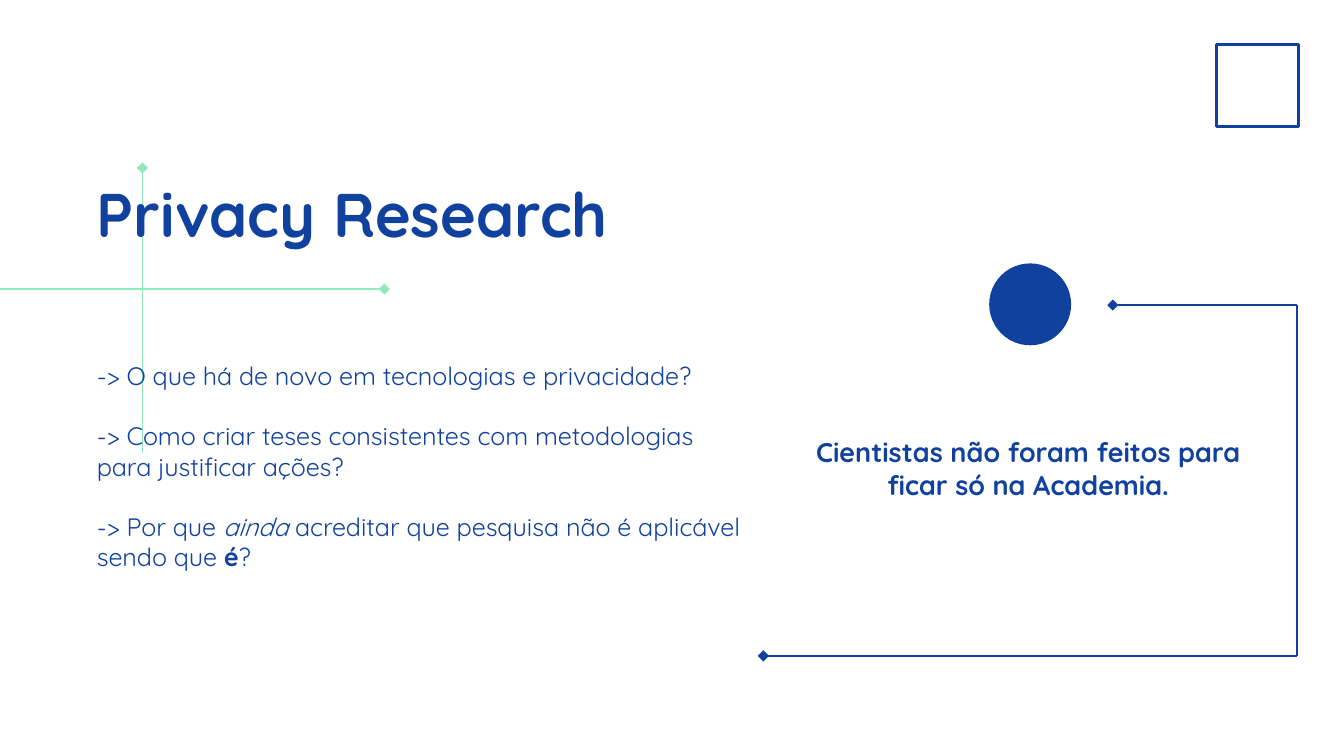
import pptx
import pptx.util
import pptx.dml.color
import pptx.enum.shapes
import pptx.enum.text
import pptx.oxml
import pptx.oxml.ns

RGB = pptx.dml.color.RGBColor
BLUE = RGB(0x11, 0x41, 0x9F)
MINT = RGB(0x8F, 0xEA, 0xBB)
FONT = "Quicksand"
WIDE = 10
HIGH = WIDE * 9 / 16
COLS, ROWS = WIDE * 10, HIGH * 10  # grid cells of a tenth of an inch


def write(para, text, size, bold=False, italic=False, color=BLUE):
    """Add one formatted run to a paragraph."""
    run = para.add_run()
    run.text = text
    font = run.font
    font.name, font.size = FONT, pptx.util.Pt(size)
    font.bold, font.italic = bold, italic
    font.color.rgb = color


def add_tag(parent, tag, **attrs):
    node = pptx.oxml.parse_xml(f"<a:{tag} {pptx.oxml.ns.nsdecls('a')}/>")
    for name, value in attrs.items():
        node.set(name, value)
    parent.append(node)


class Deck:
    """Holds the style and the current slide; lengths are grid cells."""

    def __init__(self):
        self.file = pptx.Presentation()
        self.file.slide_width = pptx.util.Inches(WIDE)
        self.file.slide_height = pptx.util.Inches(HIGH)
        self.slide = self.file.slides.add_slide(self.file.slide_layouts[1])
        self.shapes = self.slide.shapes

    def grid(self, *cells):
        """Turn column, row, column, row ... into lengths."""
        units = (self.file.slide_width / COLS, self.file.slide_height / ROWS)
        return [round(cell * units[i % 2]) for i, cell in enumerate(cells)]

    def line(self, *ends, color=BLUE, tip=True):
        """Draw a line, with a diamond at its end if tip is set."""
        link = self.shapes.add_connector(
            pptx.enum.shapes.MSO_CONNECTOR.STRAIGHT, *self.grid(*ends))
        link.line.color.rgb = color
        link.line.width = pptx.util.Pt(0.75)
        if tip:
            add_tag(link.element.spPr.find(pptx.oxml.ns.qn("a:ln")),
                    "tailEnd", type="diamond")
        add_tag(link.element.spPr, "effectLst")

    def shape(self, kind, *box, fill=None, edge=None):
        item = self.shapes.add_shape(kind, *self.grid(*box))
        item.shadow.inherit = False
        if fill:
            item.fill.solid()
            item.fill.fore_color.rgb = fill
        else:
            item.fill.background()
        if edge:
            item.line.color.rgb = edge
            item.line.width = pptx.util.Pt(1.5)
        else:
            item.line.fill.background()

    def text(self, holder, box, paras, size, align="LEFT", gap=0, bold=False):
        """Fill a placeholder or text box; each paragraph is a list of runs."""
        holder.left, holder.top, holder.width, holder.height = self.grid(*box)
        holder.element.getparent().append(holder.element)  # bring to front
        frame = holder.text_frame
        frame.word_wrap = True
        frame.auto_size = pptx.enum.text.MSO_AUTO_SIZE.NONE
        frame.vertical_anchor = pptx.enum.text.MSO_ANCHOR.TOP
        frame.margin_left = frame.margin_right = pptx.util.Inches(0.1)
        frame.margin_top = frame.margin_bottom = pptx.util.Inches(0.1)
        for i, runs in enumerate(paras):
            para = frame.add_paragraph() if i else frame.paragraphs[0]
            para.alignment = getattr(pptx.enum.text.PP_ALIGN, align)
            para.space_before = pptx.util.Pt(gap if i else 0)
            props = para._p.get_or_add_pPr()
            props.set("marL", "0")
            props.set("indent", "0")
            add_tag(props, "buNone")
            for words, style in runs:
                write(para, words, size, **{"bold": bold, **style})

    def title(self, words, *box):
        self.text(self.shapes.title, box, [[(words, {})]], 33, bold=True)

    def body(self, paras, *box):
        self.text(self.slide.placeholders[1], box, paras, 13.5, gap=16.25)

    def quote(self, words, *box):
        self.text(self.shapes.add_textbox(0, 0, 0, 0), box, [[(words, {})]],
                  14.5, align="CENTER", bold=True)


def main():
    deck = Deck()
    kinds = pptx.enum.shapes.MSO_SHAPE

    # Crossing lines behind the title
    deck.line(0, 21.5, 28.6, 21.5, color=MINT)
    deck.line(10.6, 33.7, 10.6, 12.5, color=MINT)

    # Frame around the quote
    right, top, base = 96.5, 22.7, 48.8
    deck.line(right, top, 82.8, top)
    deck.line(right, base, 56.8, base)
    deck.line(right, top, right, base, tip=False)

    # Circle and corner square
    side = 6.1
    deck.shape(kinds.OVAL, 73.6, 19.6, side, side, fill=BLUE)
    deck.shape(kinds.RECTANGLE, 90.5, 3.3, side, side, edge=BLUE)

    # Text
    deck.quote("Cientistas não foram feitos para ficar só na Academia.",
               59.4, 31.4, 34.2, 11.8)
    deck.title("Privacy Research", 6.2, 12.1, 56.8, 7.6)
    deck.body([
        [("-> O que há de novo em tecnologias e privacidade?", {})],
        [("-> Como criar teses consistentes com metodologias "
          "para justificar ações?", {})],
        [("-> Por que ", {}), ("ainda ", {"italic": True}),
         ("acreditar que pesquisa não é aplicável sendo que ", {}),
         ("é", {"bold": True}), ("?", {})],
    ], 6.2, 25.8, 50.7, 17.9)

    deck.file.save("out.pptx")


if __name__ == "__main__":
    main()
